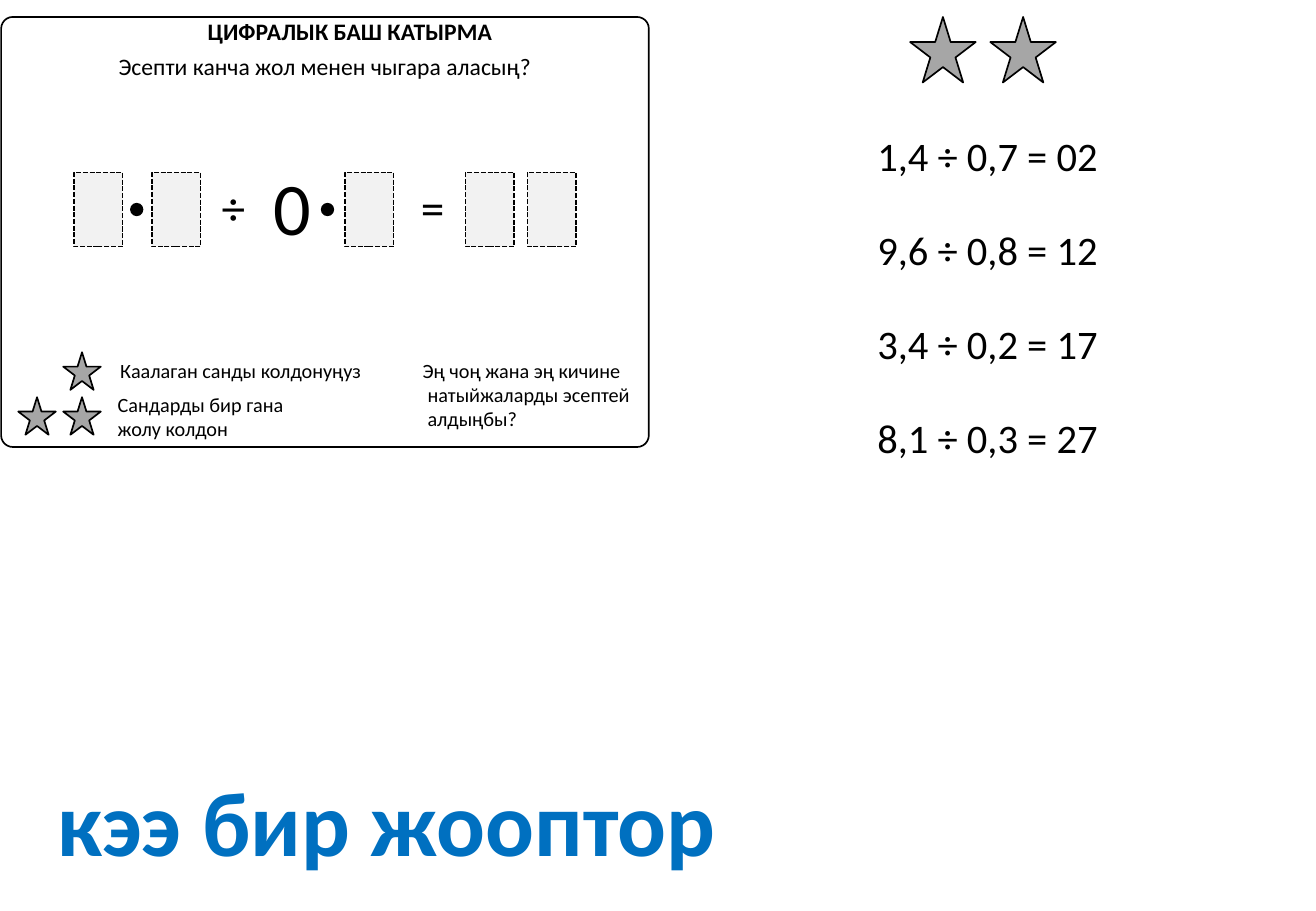
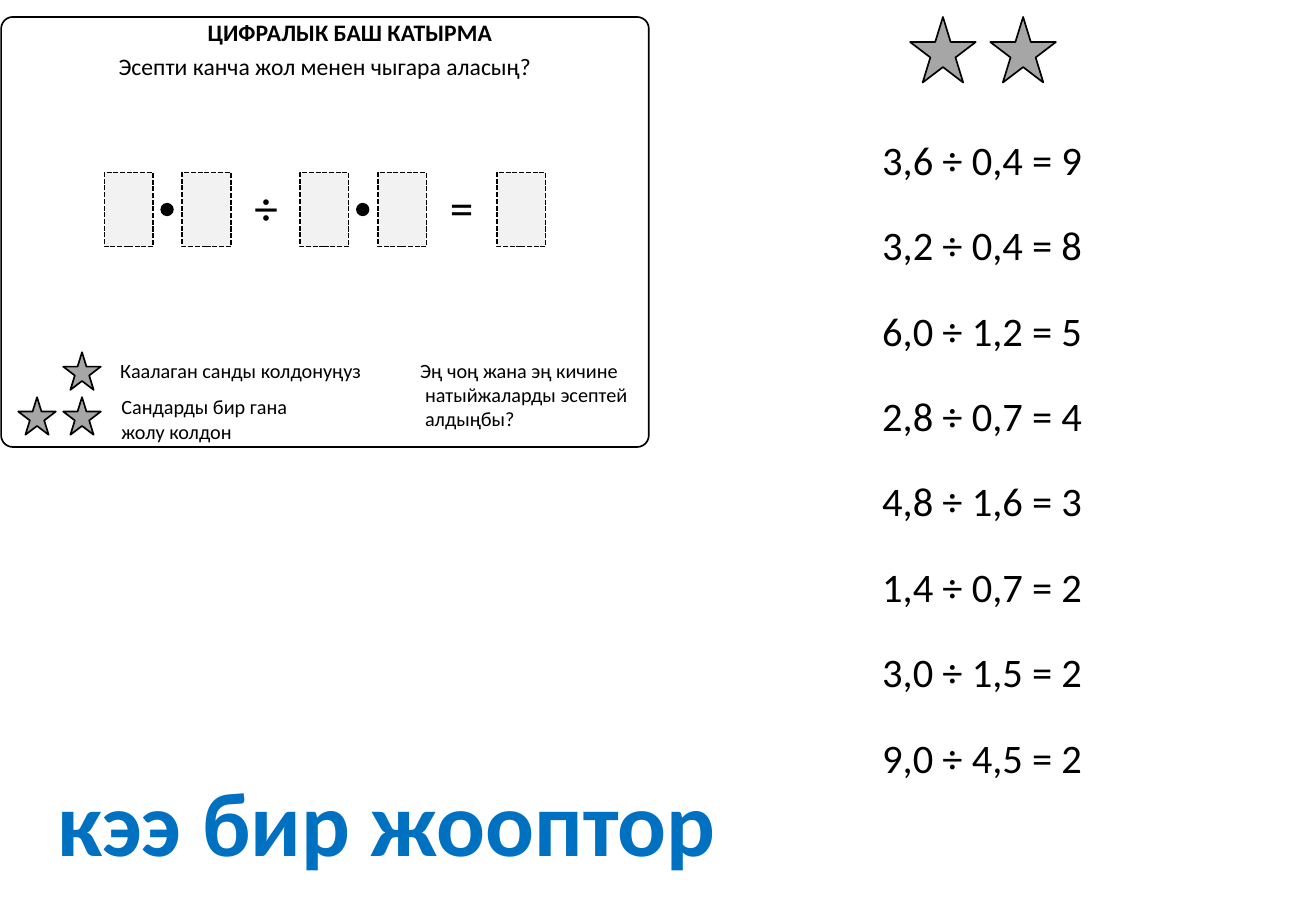
from dataclasses import dataclass

from pptx import Presentation
from pptx.dml.color import RGBColor
from pptx.enum.dml import MSO_LINE
from pptx.enum.shapes import MSO_SHAPE as Shape
from pptx.enum.text import MSO_ANCHOR, MSO_AUTO_SIZE, PP_ALIGN
from pptx.oxml.ns import qn
from pptx.util import Inches, Pt


@dataclass(frozen=True)
class Theme:
    font: str = "Calibri"
    ink: str = "000000"
    accent: str = "0070C0"
    star: str = "A6A6A6"
    blank: str = "F2F2F2"
    title: int = 54
    digit: int = 44
    sign: int = 28
    answer: int = 24
    heading: int = 14
    note: int = 12


THEME = Theme()

# Content
TITLE = "кээ бир жооптор"
HEADING = "ЦИФРАЛЫК БАШ КАТЫРМА"
QUESTION = "Эсепти канча жол менен чыгара аласың?"
EASY_RULE = ["Каалаган санды колдонуңуз"]
HARD_RULE = ["Сандарды бир гана", "жолу колдон"]
CHALLENGE = ["Эң чоң жана эң кичине", "натыйжаларды эсептей", "алдыңбы?"]

# Equation tokens are (kind, left edge)
PUZZLES = [
    {
        "equation": [("decimal", 0.61), ("÷", 1.72), ("0", 2.15), ("dot", 2.64),
                     ("blank", 2.84), ("=", 3.36), ("blank", 3.83), ("blank", 4.34)],
        "answers": ["1,4 ÷ 0,7 = 02", "9,6 ÷ 0,8 = 12", "3,4 ÷ 0,2 = 17", "8,1 ÷ 0,3 = 27"],
        "answers_at": (7.12, 1.03), "answer_pitch": 0.78,
        "heading_top": 0.14, "hard_rule_at": (0.87, 3.18), "challenge_left": 3.38,
    },
    {
        "equation": [("decimal", 0.86), ("÷", 1.99), ("decimal", 2.47),
                     ("=", 3.6), ("blank", 4.09)],
        "answers": ["3,6 ÷ 0,4 = 9", "3,2 ÷ 0,4 = 8", "6,0 ÷ 1,2 = 5", "2,8 ÷ 0,7 = 4",
                    "4,8 ÷ 1,6 = 3", "1,4 ÷ 0,7 = 2", "3,0 ÷ 1,5 = 2", "9,0 ÷ 4,5 = 2"],
        "answers_at": (7.16, 1.06), "answer_pitch": 0.71,
        "heading_top": 0.15, "hard_rule_at": (0.9, 3.2), "challenge_left": 3.36,
    },
]

# Measures in inches
ROW_TOP = 1.42
BLANK_SIZE = (0.4, 0.61)
DOT_SIZE, DOT_TOP = 0.11, 1.67
DOT_STEP, BLANK_STEP = 0.46, 0.64
SMALL_STAR, BIG_STAR = 0.31, 0.54
STARS = [(0.52, 2.9, SMALL_STAR), (0.52, 3.27, SMALL_STAR), (0.15, 3.27, SMALL_STAR),
         (7.49, 0.14, BIG_STAR), (8.15, 0.14, BIG_STAR)]
HANGING = 0.04
LINE_HEIGHT = 1.22


def inches(*lengths):
    return [Inches(length) for length in lengths]


def fill_text(box, lines, size, color=THEME.ink, bold=False, align=PP_ALIGN.LEFT,
              gap=0, hanging=0):
    frame = box.text_frame
    frame.text = "\n".join(lines)
    frame.word_wrap = False
    frame.auto_size = MSO_AUTO_SIZE.NONE
    frame.vertical_anchor = MSO_ANCHOR.TOP
    for index, para in enumerate(frame.paragraphs):
        props = para._p.get_or_add_pPr()
        props.set("marL", str(Inches(hanging if index else 0)))
        props.set("indent", "0")
        props.append(props.makeelement(qn("a:buNone"), {}))
        para.alignment = align
        para.space_before = Pt(gap if index else 0)
        for span in para.runs:
            span.font.name = THEME.font
            span.font.size = Pt(size)
            span.font.bold = bold
            span.font.color.rgb = RGBColor.from_string(color)
    return frame


def add_text(page, area, lines, size, **style):
    return fill_text(page.shapes.add_textbox(*inches(*area)), lines, size, **style)


def add_figure(page, kind, area, fill=None, outline=True):
    figure = page.shapes.add_shape(kind, *inches(*area))
    figure.shadow.inherit = False
    if fill:
        figure.fill.solid()
        figure.fill.fore_color.rgb = RGBColor.from_string(fill)
    else:
        figure.fill.background()
    if outline:
        figure.line.color.rgb = RGBColor.from_string(THEME.ink)
        figure.line.width = Pt(1)
    else:
        figure.line.fill.background()
    return figure


def add_token(page, kind, left):
    if kind == "decimal":
        add_token(page, "blank", left)
        add_token(page, "dot", left + DOT_STEP)
        add_token(page, "blank", left + BLANK_STEP)
    elif kind == "blank":
        blank = add_figure(page, Shape.RECTANGLE, (left, ROW_TOP, *BLANK_SIZE), THEME.blank)
        blank.line.dash_style = MSO_LINE.SQUARE_DOT
        blank.line._ln.find(qn("a:prstDash")).set("val", "sysDash")
    elif kind == "dot":
        add_figure(page, Shape.OVAL, (left, DOT_TOP, DOT_SIZE, DOT_SIZE), THEME.ink, False)
    elif kind == "0":
        add_text(page, (left, 1.28, 0.51, 0.84), [kind], THEME.digit)
    else:
        add_text(page, (left, ROW_TOP, 0.4, 0.57), [kind], THEME.sign, align=PP_ALIGN.CENTER)


def place(box, area):
    box.left, box.top, box.width, box.height = inches(*area)
    return box


def add_card(page, puzzle):
    card = add_figure(page, Shape.ROUNDED_RECTANGLE, (0.01, 0.14, 5.33, 3.54))
    card.adjustments[0] = 0.027
    heading = add_text(page, (1.61, puzzle["heading_top"], 2.56, 0.24), [HEADING],
                       THEME.heading, bold=True)
    heading.margin_top = heading.margin_bottom = 0
    add_text(page, (0.86, 0.38, 3.63, 0.34), [QUESTION], THEME.heading,
             align=PP_ALIGN.CENTER)
    add_text(page, (0.89, 2.9, 2.21, 0.3), EASY_RULE, THEME.note)
    add_text(page, (*puzzle["hard_rule_at"], 1.62, 0.5), HARD_RULE, THEME.note)
    add_text(page, (puzzle["challenge_left"], 2.9, 1.93, 0.7), CHALLENGE, THEME.note,
             hanging=HANGING)
    for left, top, size in STARS:
        add_figure(page, Shape.STAR_5_POINT, (left, top, size, size), THEME.star)
    for kind, left in puzzle["equation"]:
        add_token(page, kind, left)


def add_puzzle(deck, puzzle):
    page = deck.slides.add_slide(deck.slide_layouts[1])
    title, body = page.placeholders
    fill_text(place(title, (0.37, 6.25, 5.68, 1.01)), [TITLE], THEME.title,
              color=THEME.accent, bold=True)
    # Answers: one list, spaced so that lines fall on an equal pitch
    pitch, answers = puzzle["answer_pitch"], puzzle["answers"]
    place(body, (*puzzle["answers_at"], 2.03, pitch * (len(answers) - 1) + 0.5))
    fill_text(body, answers, THEME.answer, gap=pitch * 72 - THEME.answer * LINE_HEIGHT)
    add_card(page, puzzle)


def main():
    deck = Presentation()
    deck.slide_width, deck.slide_height = inches(10.83, 7.5)
    for puzzle in PUZZLES:
        add_puzzle(deck, puzzle)
    deck.save("out.pptx")


if __name__ == "__main__":
    main()
